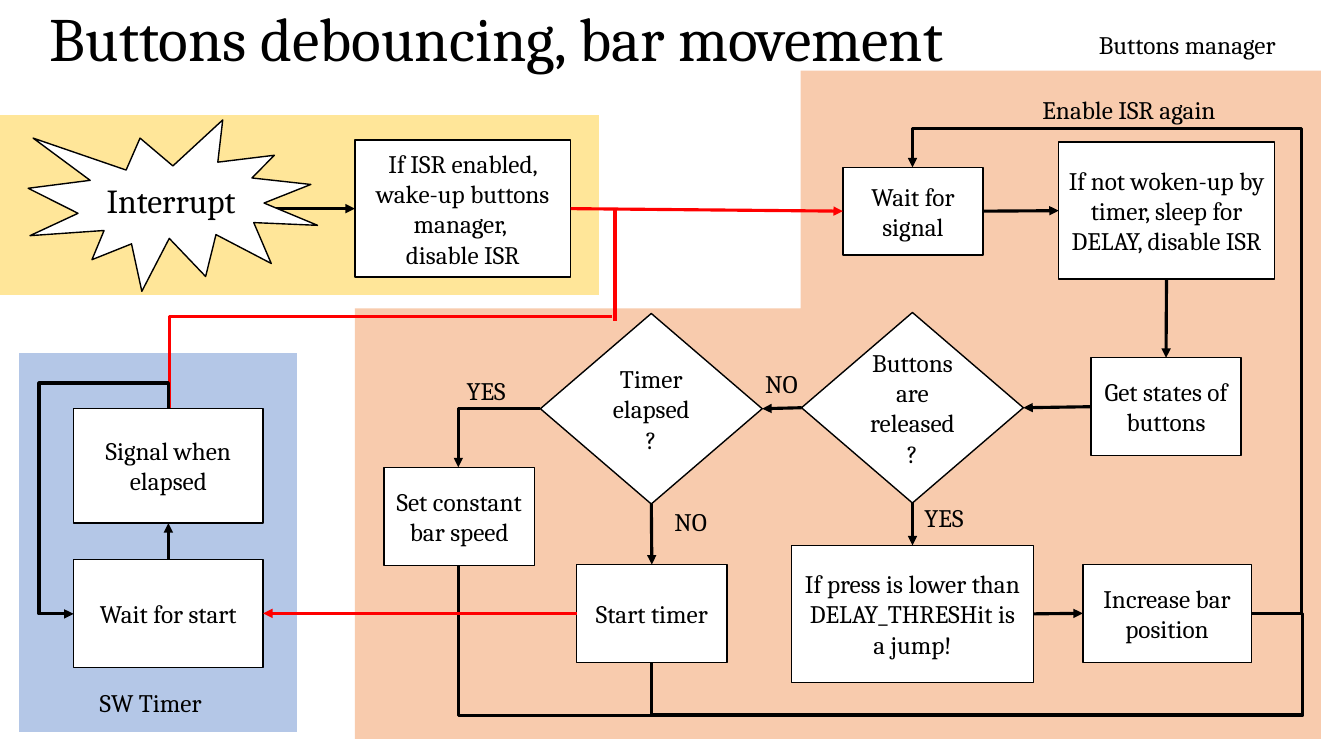
import pptx
import pptx.util
import pptx.dml.color
import pptx.enum.shapes
import pptx.enum.text
import pptx.oxml
import pptx.oxml.ns

Inches, Pt = pptx.util.Inches, pptx.util.Pt
RGBColor = pptx.dml.color.RGBColor
SHAPE = pptx.enum.shapes.MSO_SHAPE
LINE = pptx.enum.shapes.MSO_CONNECTOR
ALIGN = pptx.enum.text.PP_ALIGN
MIDDLE = pptx.enum.text.MSO_ANCHOR.MIDDLE
qn = pptx.oxml.ns.qn

BLACK = RGBColor(0x00, 0x00, 0x00)
WHITE = RGBColor(0xFF, 0xFF, 0xFF)
RED = RGBColor(0xFF, 0x00, 0x00)
YELLOW = RGBColor(0xFF, 0xE6, 0x99)
BLUE = RGBColor(0xB4, 0xC7, 0xE7)
ORANGE = RGBColor(0xF8, 0xCB, 0xAD)
TOP, LEFT, BOTTOM, RIGHT = range(4)

prs = pptx.Presentation()
prs.slide_width, prs.slide_height = Inches(13.33), Inches(7.5)
s = prs.slides.add_slide(prs.slide_layouts[6])


def add_block(kind, at, text, size=18):
    """White shape with a thin black outline and centred text."""
    sp = s.shapes.add_shape(kind, *[Inches(v) for v in at])
    sp.shadow.inherit = False
    sp.fill.solid()
    sp.fill.fore_color.rgb = WHITE
    sp.line.color.rgb = BLACK
    sp.line.width = Pt(1)
    tf = sp.text_frame
    tf.word_wrap = True
    tf.vertical_anchor = MIDDLE
    p = tf.paragraphs[0]
    p.alignment = ALIGN.CENTER
    for i, part in enumerate(text.split("\n")):
        if i:
            p.add_line_break()
        r = p.add_run()
        r.text = part
        r.font.name, r.font.size, r.font.color.rgb = "Cambria", Pt(size), BLACK
    return sp


def add_line(kind, ends, color=BLACK, arrow=None):
    """Connector without shadow; arrow is headEnd, tailEnd or None."""
    c = s.shapes.add_connector(kind, *[Inches(v) for v in ends])
    c.line.color.rgb = color
    c.line.width = Pt(2.25)
    if arrow:
        ln = c.line._get_or_add_ln()
        ln.append(ln.makeelement(qn("a:" + arrow), {"type": "triangle"}))
    spPr = c._element.spPr
    spPr.append(spPr.makeelement(qn("a:effectLst"), {}))
    return c


# Background areas: interrupt, software timer, L-shaped buttons manager
interrupt_area = s.shapes.add_shape(
    SHAPE.FLOWCHART_PROCESS, Inches(0), Inches(1.14), Inches(5.94), Inches(1.79))
timer_area = s.shapes.add_shape(
    SHAPE.FLOWCHART_PROCESS, Inches(0.19), Inches(3.5), Inches(2.76), Inches(3.76))
outline = s.shapes.build_freeform(Inches(7.94), Inches(0.7))
corners = [(13.1, 0.7), (13.1, 7.33), (3.52, 7.33), (3.52, 3.06), (7.94, 3.06)]
outline.add_line_segments([(Inches(x), Inches(y)) for x, y in corners])
manager_area = outline.convert_to_shape()
for sp, fill in ((interrupt_area, YELLOW), (timer_area, BLUE), (manager_area, ORANGE)):
    sp.shadow.inherit = False
    sp.fill.solid()
    sp.fill.fore_color.rgb = fill
    sp.line.fill.background()

# Elbow lines: left, top, width, height, rotation, flips, bends, adjustments
elbows = [
    ((1.68, 3.14, 4.39, 0.91), 180, "V", 2, [], RED, None),
    ((0.73, 4.05, 0.94, 2.04), 180, "H", 4, [-0.364, 1.123], BLACK, "headEnd"),
    ((8.51, 2.2, 4.43, 3.35), 270, "H", 4, [-0.086, 1.152], BLACK, "headEnd"),
    ((6.46, 6.09, 6.43, 0.49), 180, "V", 4, [-0.005, 2.046], BLACK, None),
    ((4.66, 3.94, 0.58, 0.81), 90, "HV", 2, [], BLACK, "headEnd"),
    ((4.55, 5.6, 1.91, 1.5), 180, "", 2, [], BLACK, None),
]
for (x, y, w, h), turn, flips, bends, adjusts, color, arrow in elbows:
    c = add_line(LINE.ELBOW, (x, y, x + w, y + h), color, arrow)
    xfrm = c._element.spPr.find(qn("a:xfrm"))
    xfrm.set("rot", str(turn * 60000))
    for flip in flips:
        xfrm.set("flip" + flip, "1")
    geom = c._element.spPr.find(qn("a:prstGeom"))
    geom.set("prst", f"bentConnector{bends}")
    guides = geom.find(qn("a:avLst"))
    for i, value in enumerate(adjusts, 1):
        guides.append(guides.makeelement(
            qn("a:gd"), {"name": f"adj{i}", "fmla": f"val {round(value * 100000)}"}))

# Steps and decisions
steps = {
    "isr": ((3.52, 1.39, 2.14, 1.36), "If ISR enabled, wake-up buttons manager, \ndisable ISR"),
    "sleep": ((10.5, 1.41, 2.14, 1.36), "If not woken-up by timer, sleep for DELAY, disable ISR"),
    "states": ((10.82, 3.55, 1.49, 0.97), "Get states of buttons"),
    "signal": ((8.36, 1.66, 1.39, 0.87), "Wait for signal"),
    "press": ((7.85, 5.41, 2.4, 1.36), "If press is lower than DELAY_THRESHit is a jump!"),
    "released": ((7.95, 3.1, 2.2, 1.89), "Buttons are released ?"),
    "elapsed": ((5.36, 3.11, 2.2, 1.89), "Timer elapsed ?"),
    "start": ((5.72, 5.6, 1.49, 0.97), "Start timer"),
    "increase": ((10.74, 5.6, 1.67, 0.97), "Increase bar position"),
    "wait": ((0.73, 5.55, 1.88, 1.07), "Wait for start"),
    "timeout": ((0.73, 4.05, 1.88, 1.14), "Signal when elapsed"),
    "speed": ((3.81, 4.64, 1.49, 0.97), "Set constant bar speed"),
}
blocks = {}
for name, (at, text) in steps.items():
    decision = name in ("released", "elapsed")
    kind = SHAPE.FLOWCHART_DECISION if decision else SHAPE.FLOWCHART_PROCESS
    blocks[name] = add_block(kind, at, text)

# Straight arrows between blocks
arrows = [
    ("isr", RIGHT, "signal", LEFT, RED),
    ("signal", RIGHT, "sleep", LEFT, BLACK),
    ("sleep", BOTTOM, "states", TOP, BLACK),
    ("states", LEFT, "released", RIGHT, BLACK),
    ("released", BOTTOM, "press", TOP, BLACK),
    ("released", LEFT, "elapsed", RIGHT, BLACK),
    ("press", RIGHT, "increase", LEFT, BLACK),
    ("elapsed", BOTTOM, "start", TOP, BLACK),
    ("wait", TOP, "timeout", BOTTOM, BLACK),
    ("start", LEFT, "wait", RIGHT, RED),
]
for source, out_side, target, in_side, color in arrows:
    c = add_line(LINE.STRAIGHT, (0, 0, 1, 1), color, "tailEnd")
    c.begin_connect(blocks[source], out_side)
    c.end_connect(blocks[target], in_side)
add_line(LINE.STRAIGHT, (6.1, 3.18, 6.1, 2.07), RED)

# Interrupt burst over the start of its arrow
c = add_line(LINE.STRAIGHT, (0.71, 2.07, 3.52, 2.07), BLACK, "tailEnd")
c.end_connect(blocks["isr"], LEFT)
add_block(SHAPE.EXPLOSION1, (0.28, 1.19, 2.87, 1.7), "Interrupt", 24)

# Title and labels
labels = [
    ("Buttons debouncing, bar movement", (0, -0.17, 9.86, 1.17), 44),
    ("YES", (4.53, 3.67, 0.7, 0.4), 18),
    ("NO", (6.59, 4.97, 0.59, 0.4), 18),
    ("YES", (9.07, 4.93, 0.7, 0.4), 18),
    ("NO", (7.49, 3.6, 0.59, 0.4), 18),
    ("Enable ISR again", (10.24, 0.89, 2.14, 0.4), 18),
    ("SW Timer", (0.89, 6.77, 1.36, 0.4), 18),
    ("Buttons manager", (10.8, 0.24, 2.11, 0.4), 18),
]
for text, at, size in labels:
    tf = s.shapes.add_textbox(*[Inches(v) for v in at]).text_frame
    p = tf.paragraphs[0]
    tf.word_wrap = size == 44
    if size == 44:
        tf.vertical_anchor = MIDDLE
        p.alignment = ALIGN.CENTER
        p.line_spacing = 0.9
    r = p.add_run()
    r.text = text
    r.font.name, r.font.size, r.font.color.rgb = "Cambria", Pt(size), BLACK

prs.save("out.pptx")
